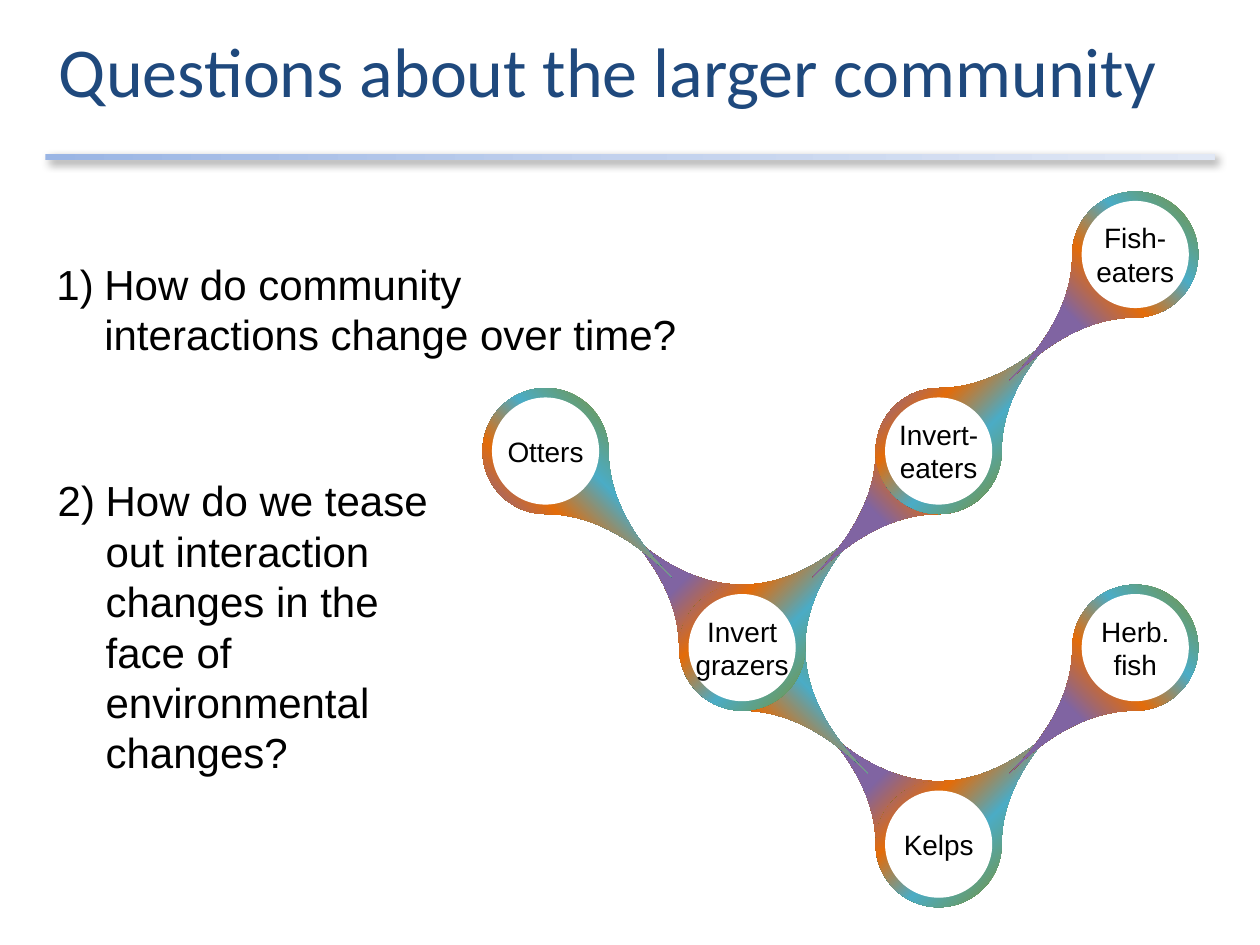
from dataclasses import dataclass

from lxml import etree
from pptx import Presentation
from pptx.dml.color import RGBColor
from pptx.enum import shapes, text
from pptx.oxml import ns
from pptx.util import Inches, Pt

COLOURS = {
    "title": "1F497D", "body": "000000", "disc": "FFFFFF",
    "bar start": "9AB5E4", "bar middle": "C2D1ED", "bar end": "E1E8F5",
    "green": "77933C", "blue": "4BACC6", "orange": "E46C0A", "purple": "8064A2",
}
BAR_STOPS = {0: "bar start", 50: "bar middle", 100: "bar end"}
DROP_STOPS = {0: "green", 40: "blue", 70: "orange", 100: "purple"}

GRID_LEFT, GRID_TOP, GRID_STEP = 3.83, 1.52, 1.56
NODE_SIZE, DISC_SIZE = 1.0, 0.84
LABEL_WIDTH, LABEL_HEIGHT = 0.98, 0.64


@dataclass(frozen=True)
class Node:
    label: str
    column: int
    row: int

    @property
    def centre(self) -> tuple[float, float]:
        return (GRID_LEFT + GRID_STEP * self.column + NODE_SIZE / 2,
                GRID_TOP + GRID_STEP * self.row + NODE_SIZE / 2)


@dataclass(frozen=True)
class Question:
    wording: str
    box: tuple[float, float, float, float]


INVERT_EATERS = Node("Invert- eaters", 2, 1)
FISH_EATERS = Node("Fish-eaters", 3, 0)
OTTERS = Node("Otters", 0, 1)
GRAZERS = Node("Invert grazers", 1, 2)
KELPS = Node("Kelps", 2, 3)
HERB_FISH = Node("Herb. fish", 3, 2)
NODES = [INVERT_EATERS, FISH_EATERS, OTTERS, GRAZERS, KELPS, HERB_FISH]
LINKS = [(GRAZERS, OTTERS), (KELPS, GRAZERS), (GRAZERS, INVERT_EATERS),
         (INVERT_EATERS, FISH_EATERS), (KELPS, HERB_FISH)]

QUESTIONS = [
    Question("1)\tHow do community interactions change over time?",
             (0.35, 2, 5.17, 0.91)),
    Question("2)\tHow do we tease out interaction changes in the face of "
             "environmental changes?", (0.36, 3.72, 3.41, 2.52)),
]


def colour(name: str) -> RGBColor:
    return RGBColor.from_string(COLOURS[name])


def box_around(centre: tuple[float, float], width: float, height: float) -> tuple:
    return centre[0] - width / 2, centre[1] - height / 2, width, height


def add_plain_shape(slide, preset, box: tuple):
    shape = slide.shapes.add_shape(preset, *map(Inches, box))
    shape.shadow.inherit = False
    shape.line.fill.background()
    return shape


def fill_gradient(shape, stops: dict[int, str], angle: int) -> None:
    """Fill along a clockwise angle in degrees that ignores the shape's rotation."""
    shape.fill.gradient()
    gradient = shape._element.spPr.find(ns.qn("a:gradFill"))
    for child in list(gradient):
        gradient.remove(child)
    gradient.set("rotWithShape", "0")
    stop_list = etree.SubElement(gradient, ns.qn("a:gsLst"))
    for percent, name in stops.items():
        stop = etree.SubElement(stop_list, ns.qn("a:gs"), pos=str(percent * 1000))
        etree.SubElement(stop, ns.qn("a:srgbClr"), val=COLOURS[name])
    etree.SubElement(gradient, ns.qn("a:lin"), ang=str(angle * 60000), scaled="0")


def add_text(slide, wording: str, box: tuple, font: dict, colour_name: str,
             frame: dict, indents: tuple = (0, 0), align=text.PP_ALIGN.LEFT) -> None:
    text_frame = slide.shapes.add_textbox(*map(Inches, box)).text_frame
    for key, value in {"word_wrap": True, **frame}.items():
        setattr(text_frame, key, value)
    paragraph = text_frame.paragraphs[0]
    paragraph.alignment = align
    properties = paragraph._p.get_or_add_pPr()
    for key, value in zip(("marL", "indent"), indents):
        properties.set(key, str(Inches(value)))
    run = paragraph.add_run()
    run.text = wording
    for key, value in font.items():
        setattr(run.font, key, value)
    run.font.color.rgb = colour(colour_name)


def add_title_bar(slide) -> None:
    bar = add_plain_shape(slide, shapes.MSO_SHAPE.RECTANGLE, (0.36, 1.22, 9.28, 0.05))
    fill_gradient(bar, BAR_STOPS, 0)
    effects = bar._element.spPr.find(ns.qn("a:effectLst"))
    shadow = etree.SubElement(
        effects, ns.qn("a:outerShdw"), blurRad=str(Pt(5)), dist=str(Pt(3)),
        dir=str(45 * 60000), algn="tl", rotWithShape="0")
    shade = etree.SubElement(shadow, ns.qn("a:srgbClr"), val=COLOURS["body"])
    etree.SubElement(shade, ns.qn("a:alpha"), val="40000")


def add_drop(slide, node: Node, target: Node) -> None:
    """Draw a teardrop on a node with its tip towards the target."""
    to_right, upward = target.column > node.column, target.row < node.row
    drop = add_plain_shape(slide, shapes.MSO_SHAPE.TEAR,
                           box_around(node.centre, NODE_SIZE, NODE_SIZE))
    drop.adjustments[0] = 2.0
    drop.rotation = {(True, True): 0, (True, False): 90,
                     (False, False): 180, (False, True): 270}[to_right, upward]
    fill_gradient(drop, DROP_STOPS, 225 if upward else 135)


def add_node(slide, node: Node) -> None:
    disc = add_plain_shape(slide, shapes.MSO_SHAPE.OVAL,
                           box_around(node.centre, DISC_SIZE, DISC_SIZE))
    disc.fill.solid()
    disc.fill.fore_color.rgb = colour("disc")
    disc.line.color.rgb = colour("disc")
    disc.line.width = Pt(0.75)
    add_text(slide, node.label, box_around(node.centre, LABEL_WIDTH, LABEL_HEIGHT),
             {"name": "Arial", "size": Pt(16)}, "body",
             {"vertical_anchor": text.MSO_ANCHOR.MIDDLE}, align=text.PP_ALIGN.CENTER)


def main() -> None:
    deck = Presentation()
    deck.slide_width, deck.slide_height = Inches(10), Inches(7.5)
    slide = deck.slides.add_slide(deck.slide_layouts[6])

    add_title_bar(slide)
    add_text(slide, "Questions about the larger community", (0, 0, 10, 1.1),
             {"name": "Calibri", "size": Pt(40)}, "title",
             {"vertical_anchor": text.MSO_ANCHOR.MIDDLE}, (0.37, 0))
    for first, second in LINKS:
        add_drop(slide, first, second)
        add_drop(slide, second, first)
    for node in NODES:
        add_node(slide, node)
    for question in QUESTIONS:
        add_text(slide, question.wording, question.box,
                 {"name": "Arial", "size": Pt(24)}, "body", {}, (0.38, -0.38))

    deck.save("out.pptx")


if __name__ == "__main__":
    main()
